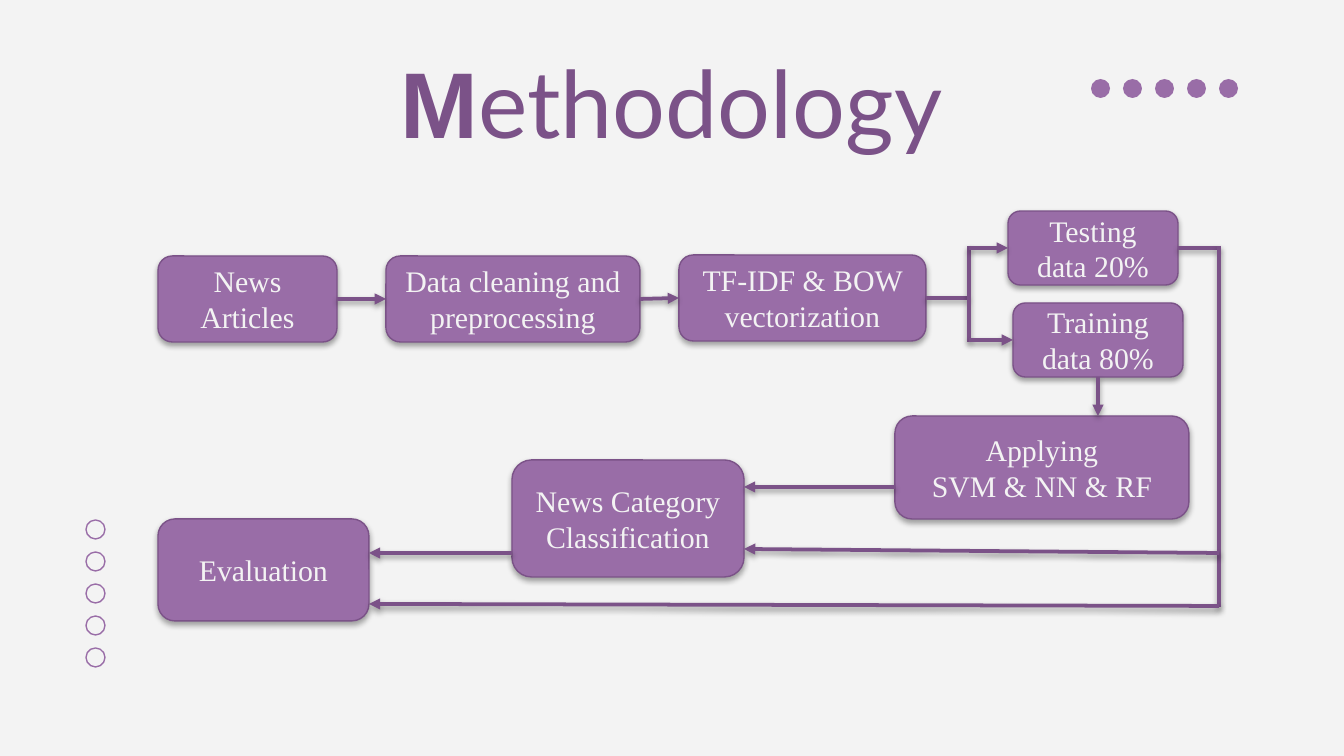
from lxml import etree
from pptx import Presentation, util as u
from pptx.dml.color import RGBColor
from pptx.enum import shapes, text
from pptx.oxml import ns

PX = 914400 / 134.4
MID, DARK, PALE = "996DA7", "7B5288", "F3F3F3"


def emu(*vals):
    """Turn px lengths into EMU."""
    return [round(v * PX) for v in vals]


def rgb(code):
    """Turn a hex string into a colour."""
    return RGBColor.from_string(code)


def add(top, tag, **attrs):
    """Append a drawing element to its parent."""
    node = etree.SubElement(top, ns.qn("a:" + tag))
    for key, val in attrs.items():
        node.set(key, str(val))
    return node


def shade(shape, dist, alpha):
    """Give a shape a soft shadow below it."""
    fx = add(shape._element.spPr, "effectLst")
    drop = add(fx, "outerShdw", blurRad=u.Pt(3.1), dist=u.Pt(dist),
               dir=5400000, rotWithShape=0)
    add(add(drop, "srgbClr", val="000000"), "alpha", val=alpha * 1000)


class Chart:
    """Draw flow chart parts on the current slide in one style."""

    def __init__(self, slide):
        """Keep the slide and paint its background."""
        self.slide = slide
        fill = slide.background.fill
        fill.solid()
        fill.fore_color.rgb = rgb(PALE)

    def font(self, run, name, size, color, bold=False):
        """Set the look of a run."""
        font = run.font
        font.name, font.size, font.bold = name, u.Pt(size), bold
        font.color.rgb = rgb(color)

    def title(self, first, rest, *at):
        """Add the heading with its bold first letter."""
        frame = self.slide.shapes.add_textbox(*emu(*at)).text_frame
        frame.word_wrap = True
        frame.vertical_anchor = text.MSO_ANCHOR.BOTTOM
        frame.margin_left = frame.margin_right = u.Inches(0.1)
        frame.margin_top = frame.margin_bottom = u.Inches(0.1)
        par = frame.paragraphs[0]
        par.alignment = text.PP_ALIGN.CENTER
        for words, name, bold in ((first, "Arial", True), (rest, "Lato", False)):
            run = par.add_run()
            run.text = words
            self.font(run, name, 50, DARK, bold)

    def box(self, words, *at):
        """Add a rounded step with centred text."""
        kind = shapes.MSO_SHAPE.ROUNDED_RECTANGLE
        box = self.slide.shapes.add_shape(kind, *emu(*at))
        box.fill.solid()
        box.fill.fore_color.rgb = rgb(MID)
        box.line.color.rgb = rgb(DARK)
        box.line.width = u.Pt(0.75)
        shade(box, 1.8, 35)
        frame = box.text_frame
        frame.word_wrap = True
        frame.vertical_anchor = text.MSO_ANCHOR.MIDDLE
        frame.text = words
        for par in frame.paragraphs:
            par.alignment = text.PP_ALIGN.CENTER
            for run in par.runs:
                self.font(run, "Times New Roman", 16, PALE)
        return box

    def line(self, start, end, head=True):
        """Join two ends, each an (x, y) point or a (box, side) pair."""
        free = [p if isinstance(p[0], int) else (0, 0) for p in (start, end)]
        line = self.slide.shapes.add_connector(
            shapes.MSO_CONNECTOR.STRAIGHT, *emu(*free[0], *free[1]))
        if not isinstance(start[0], int):
            line.begin_connect(*start)
        if not isinstance(end[0], int):
            line.end_connect(*end)
        line.line.color.rgb = rgb(DARK)
        line.line.width = u.Pt(2)
        if head:
            add(line.line._get_or_add_ln(), "tailEnd", type="triangle")
        shade(line, 1.6, 38)

    def dots(self, x, y, dx, dy, solid):
        """Add a row or column of five dots."""
        for i in range(5):
            dot = self.slide.shapes.add_shape(
                shapes.MSO_SHAPE.OVAL, *emu(x + i * dx, y + i * dy, 19, 19))
            dot.shadow.inherit = False
            if solid:
                dot.fill.solid()
                dot.fill.fore_color.rgb = rgb(MID)
                dot.line.fill.background()
            else:
                dot.fill.background()
                dot.line.color.rgb = rgb(MID)
                dot.line.width = u.Pt(0.75)


def main():
    """Build the slide."""
    deck = Presentation()
    deck.slide_width, deck.slide_height = emu(1344, 756)
    art = Chart(deck.slides.add_slide(deck.slide_layouts[6]))

    art.dots(1091, 79, 32, 0, True)
    art.title("M", "ethodology", 178, 0, 987, 171)

    news = art.box("News Articles", 158, 256, 179, 86)
    clean = art.box("Data cleaning and preprocessing", 386, 256, 254, 86)
    vector = art.box("TF-IDF & BOW vectorization", 679, 255, 247, 86)
    test = art.box("Testing data 20%", 1008, 211, 170, 74)
    train = art.box("Training data 80%", 1013, 303, 170, 74)
    art.box("Applying\nSVM & NN & RF", 895, 416, 294, 103)
    art.box("News Category Classification", 512, 460, 232, 117)
    art.box("Evaluation", 158, 519, 211, 102)

    art.line((news, 3), (clean, 1))
    art.line((clean, 3), (vector, 1))
    art.line((vector, 3), (969, 298), False)
    art.line((969, 246), (969, 342), False)
    art.line((969, 248), (test, 1))
    art.line((969, 340), (train, 1))
    art.line((train, 2), (1098, 416))
    art.line((test, 3), (1219, 248), False)
    art.line((1219, 246), (1219, 607), False)
    art.line((1219, 553), (744, 549))
    art.line((1219, 606), (369, 604))
    art.line((895, 487), (744, 487))
    art.line((512, 553), (369, 553))

    art.dots(86, 520, 0, 32, False)
    deck.save("out.pptx")


if __name__ == "__main__":
    main()
